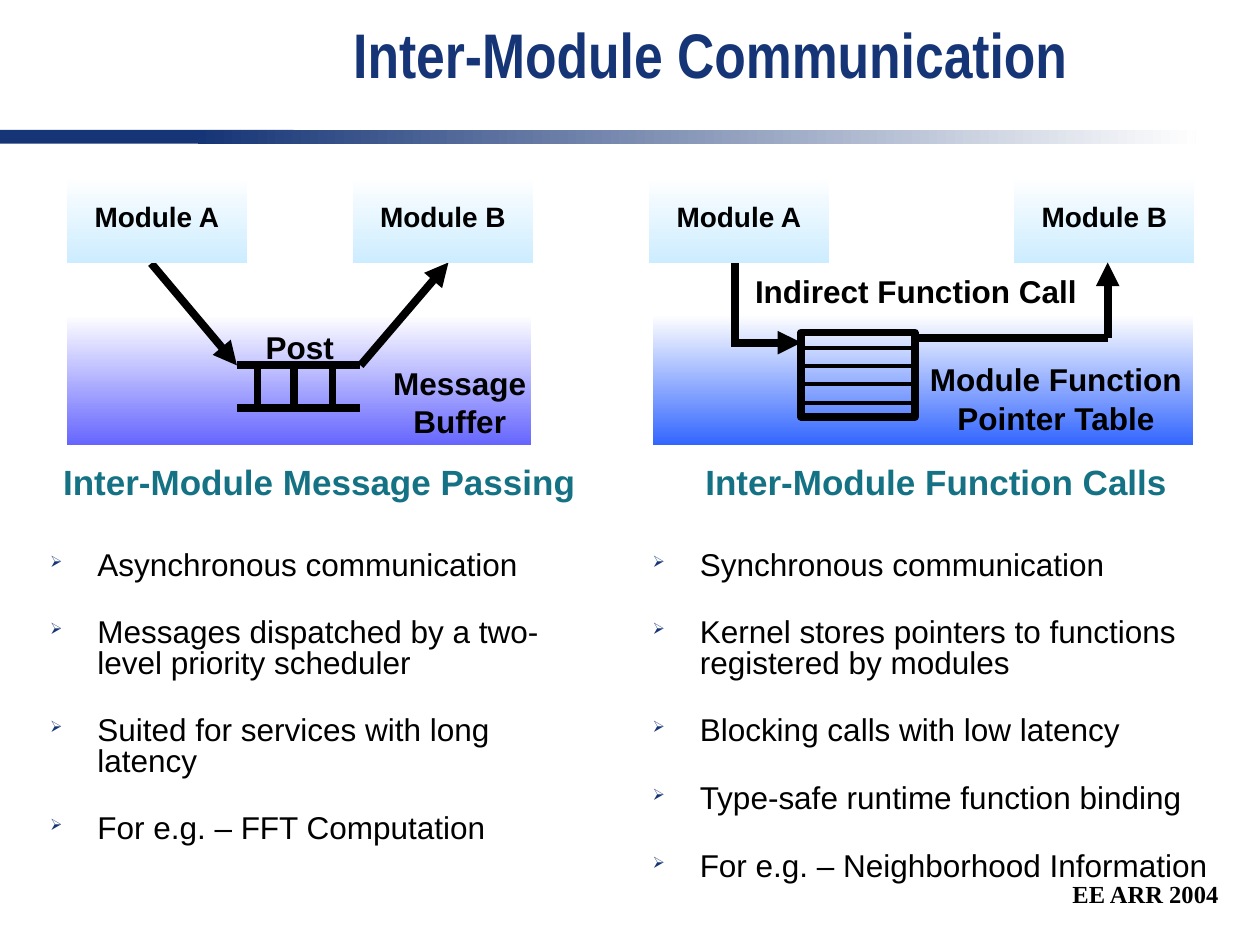
from lxml import etree
from pptx import Presentation
from pptx.dml.color import RGBColor
from pptx.enum.shapes import MSO_CONNECTOR, MSO_SHAPE
from pptx.enum.text import MSO_ANCHOR, PP_ALIGN
from pptx.oxml.ns import qn
from pptx.util import Pt

RECTANGLE = MSO_SHAPE.RECTANGLE
STRAIGHT = MSO_CONNECTOR.STRAIGHT
TOP, MIDDLE = MSO_ANCHOR.TOP, MSO_ANCHOR.MIDDLE
LEFT, CENTER, RIGHT = PP_ALIGN.LEFT, PP_ALIGN.CENTER, PP_ALIGN.RIGHT

COLORS = {
    "navy": "163576", "teal": "157284", "black": "000000", "white": "FFFFFF",
    "fade": "FEFEFE", "sky": "CCECFF", "violet": "6666FF", "blue": "3366FF",
}


def color(name):
    return RGBColor.from_string(COLORS[name])


def write(paragraph, text, size=18, font="Arial", ink="black", bold=True,
          align=CENTER, spacing=0.8, before=0, bullet=None):
    paragraph.alignment = align
    paragraph.line_spacing = spacing
    paragraph.space_before = Pt(before)
    if bullet:
        props = paragraph._p.get_or_add_pPr()
        props.set("marL", str(Pt(27)))
        props.set("indent", str(-Pt(27)))
        tint = etree.SubElement(props, qn("a:buClr"))
        etree.SubElement(tint, qn("a:srgbClr"), val=COLORS["navy"])
        etree.SubElement(props, qn("a:buSzPct"), val="50000")
        etree.SubElement(props, qn("a:buChar"), char=bullet)
    run = paragraph.add_run()
    run.text = text
    run.font.size = Pt(size)
    run.font.name = font
    run.font.bold = bold
    run.font.color.rgb = color(ink)


class Deck:
    """Holds the style and the current slide; lengths are in points."""
    thick, thin = 4.5, 2.25

    def __init__(self, width, height):
        self.file = Presentation()
        self.file.slide_width, self.file.slide_height = Pt(width), Pt(height)
        self.slide = self.file.slides.add_slide(self.file.slide_layouts[6])

    def box(self, x, y, w, h, fill=None, fade=None, angle=270, border=None):
        shape = self.slide.shapes.add_shape(RECTANGLE, Pt(x), Pt(y), Pt(w), Pt(h))
        shape.shadow.inherit = False
        if fade:
            shape.fill.gradient()
            shape.fill.gradient_angle = angle
            for stop, place, name in zip(shape.fill.gradient_stops, (0, 1), fade):
                stop.position = place
                stop.color.rgb = color(name)
        elif fill:
            shape.fill.solid()
            shape.fill.fore_color.rgb = color(fill)
        else:
            shape.fill.background()
        if border:
            shape.line.color.rgb = color("black")
            shape.line.width = Pt(border)
        else:
            shape.line.fill.background()
        return shape

    def module(self, x, label):
        shape = self.box(x, 100.8, 103, 49.7, fade=("white", "sky"))
        shape.text_frame.vertical_anchor = MIDDLE
        write(shape.text_frame.paragraphs[0], label, size=16)

    def text(self, x, y, w, h, lines, anchor=TOP, wrap=False, before=0, **style):
        frame = self.slide.shapes.add_textbox(Pt(x), Pt(y), Pt(w), Pt(h)).text_frame
        frame.word_wrap = wrap
        frame.vertical_anchor = anchor
        for i, line in enumerate(lines):
            paragraph = frame.add_paragraph() if i else frame.paragraphs[0]
            write(paragraph, line, before=before if i else 0, **style)
        return frame

    def summary(self, x, w, h, heading, points):
        frame = self.text(x, 264.2, w, h, [heading], wrap=True, size=20, ink="teal")
        for i, point in enumerate(points):
            write(frame.add_paragraph(), point, bold=False, align=LEFT,
                  before=21.4 if i else 28.5, bullet="➢")

    def line(self, x1, y1, x2, y2, width=thick, arrow=False):
        link = self.slide.shapes.add_connector(STRAIGHT, Pt(x1), Pt(y1), Pt(x2), Pt(y2))
        link.line.color.rgb = color("black")
        link.line.width = Pt(width)
        if arrow:
            etree.SubElement(link.line._get_or_add_ln(), qn("a:tailEnd"), type="triangle")
        etree.SubElement(link._element.spPr, qn("a:effectLst"))


def main():
    deck = Deck(720, 540)

    # Footer, title bar and title
    deck.text(540, 492.5, 163.4, 36, ["EE ARR 2004"], anchor=MIDDLE, wrap=True,
              size=14, font="Times New Roman", align=RIGHT, spacing=1)
    deck.box(0, 74.2, 167.8, 7.9, fill="navy")
    deck.box(113, 74.2, 570.2, 7.9, fade=("navy", "fade"), angle=0)
    deck.text(136, 5, 540, 62, ["Inter-Module Communication"], anchor=MIDDLE, wrap=True,
              size=36, font="Arial Narrow", ink="navy", spacing=0.7)

    # Headings and bullet points
    deck.summary(21.6, 321.8, 234.7, "Inter-Module Message Passing", [
        "Asynchronous communication",
        "Messages dispatched by a two-level priority scheduler",
        "Suited for services with long latency",
        "For e.g. – FFT Computation",
    ])
    deck.summary(365.8, 338.4, 264.2, "Inter-Module Function Calls", [
        "Synchronous communication",
        "Kernel stores pointers to functions registered by modules",
        "Blocking calls with low latency",
        "Type-safe runtime function binding",
        "For e.g. – Neighborhood Information",
    ])

    # Message passing: buffer between two modules
    deck.box(38.2, 180, 265, 74.2, fade=("white", "violet"))
    buffer_left, buffer_right, buffer_top, buffer_bottom = 135.4, 206, 208.8, 233
    for y in (buffer_top, buffer_bottom):
        deck.line(buffer_left, y, buffer_right, y)
    for x in (147.2, 167.8, 190):
        deck.line(x, buffer_top, x, buffer_bottom)
    deck.text(144.7, 187.9, 53.3, 24.5, ["Post"])
    deck.line(86.4, 150.5, buffer_left, buffer_top, arrow=True)
    deck.line(buffer_right, buffer_top, 256.3, 150, arrow=True)
    deck.text(217.4, 208.8, 90.7, 46, ["Message", "Buffer"], before=4.5)
    deck.module(38.2, "Module A")
    deck.module(201.6, "Module B")

    # Function calls: pointer table between two modules
    deck.box(373, 180, 308.9, 74.2, fade=("white", "blue"))
    deck.module(370.8, "Module A")
    table_left, table_right, table_top = 457.9, 522.7, 190
    deck.box(table_left, table_top, table_right - table_left, 48.2, border=deck.thick)
    for row in range(4):
        y = table_top + 8.7 + 10.5 * row
        deck.line(table_left, y, table_right, y, width=deck.thin)
    deck.text(524.2, 206.6, 158.4, 46, ["Module Function", "Pointer Table"], before=4.5)
    deck.line(419.8, 195.8, table_left, 195.8, arrow=True)
    deck.text(424.1, 156.2, 198.7, 24.5, ["Indirect Function Call"])
    deck.line(420, 150.5, 420, 198.5)
    deck.module(579.6, "Module B")
    deck.line(table_right, 193, 633, 193)
    deck.line(633, 193, 633, 150, arrow=True)

    deck.file.save("out.pptx")


if __name__ == "__main__":
    main()
